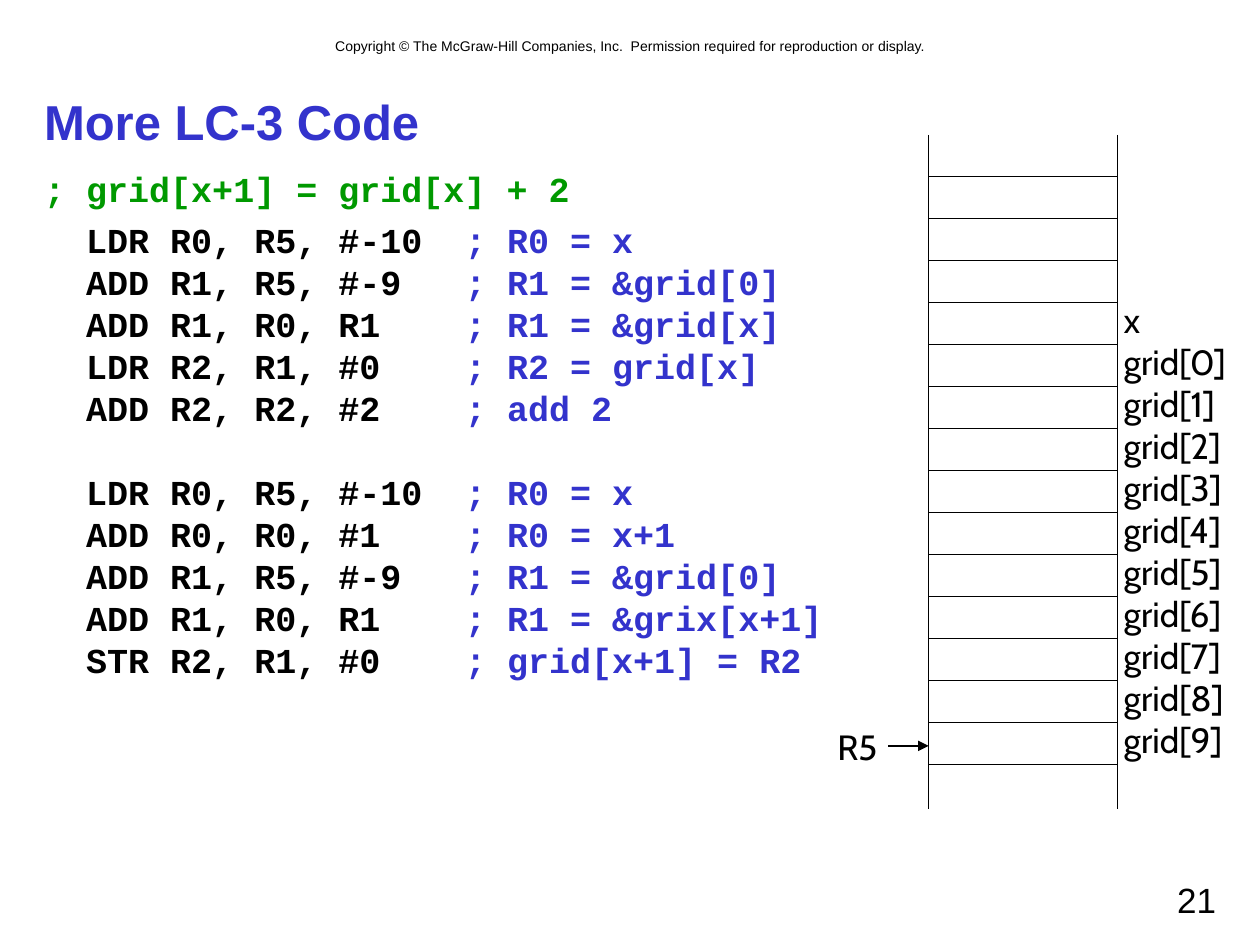
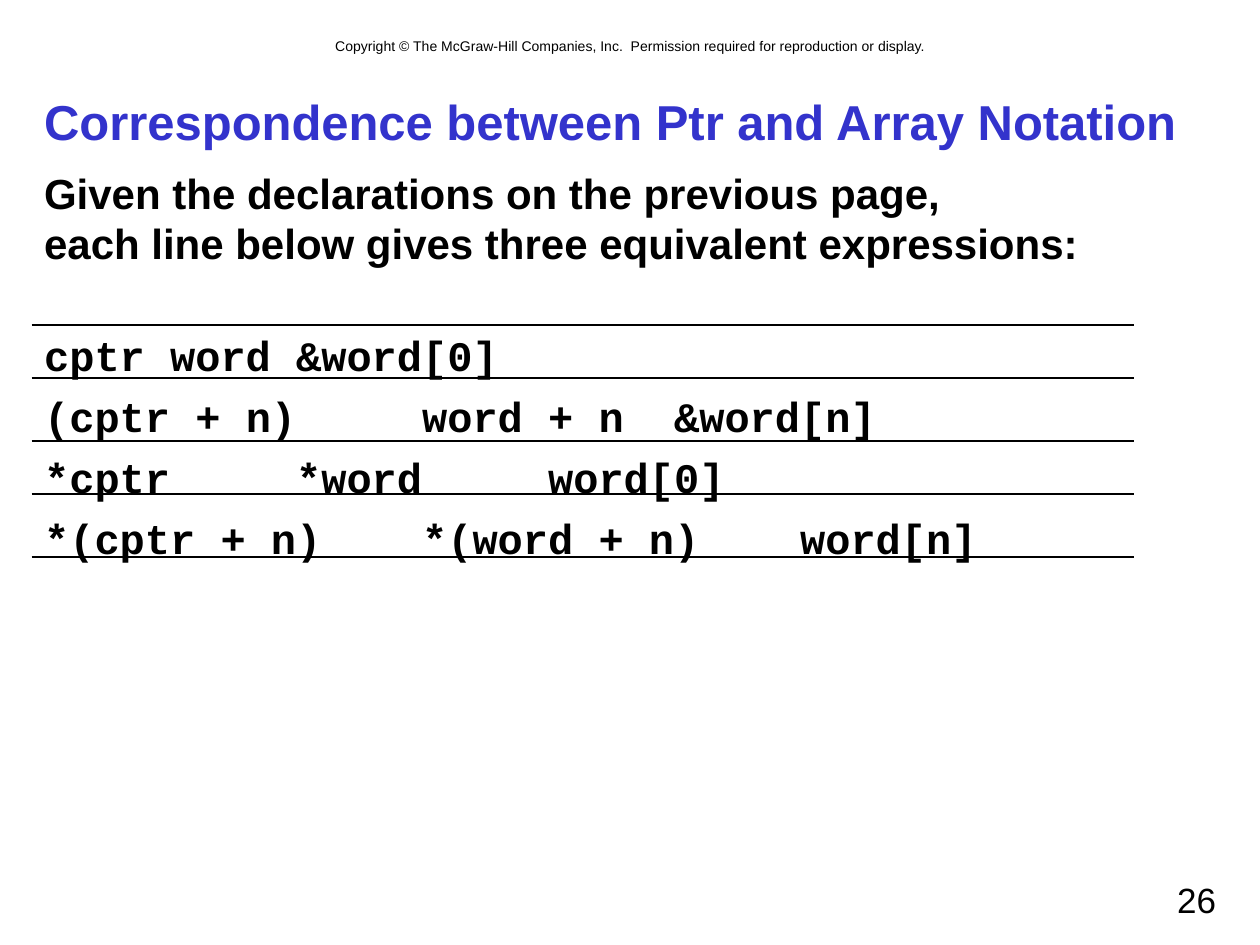
import pptx
import pptx.dml.color
import pptx.enum.shapes
import pptx.enum.text
import pptx.oxml.ns
import pptx.util
from lxml import etree

Inches = pptx.util.Inches
Pt = pptx.util.Pt
RGBColor = pptx.dml.color.RGBColor
ALIGN = pptx.enum.text.PP_ALIGN
ANCHOR = pptx.enum.text.MSO_ANCHOR
qn = pptx.oxml.ns.qn

# Shared style
BLACK = RGBColor(0x00, 0x00, 0x00)
BLUE = RGBColor(0x33, 0x33, 0xCC)
GREEN = RGBColor(0x00, 0x99, 0x00)
SANS, LABEL, CODE = "Arial", "Cabin", "Courier New"
COPYRIGHT = ("Copyright © The McGraw-Hill Companies, Inc.  "
             "Permission required for reproduction or display.")

# Boxes: left, top, width, height in inches
COPYRIGHT_BOX = (0.67, 0.25, 8.67, 0.24)
TITLE_BOX = (0.25, 0.67, 9.5, 0.58)
BODY_BOX = (0.25, 1.25, 9.5, 5.42)
NUMBER_BOX = (7.17, 6.92, 2.58, 0.42)
MEMORY_BOX = (7.37, 1.07, 1.5, 5.35)
RULES_BOX = (0.25, 2.58, 8.75, 1.84)

# Memory diagram
ROW_HEIGHT = 1 / 3
ROW_LINES = 15
FIRST_LABEL_ROW = 3
MEMORY_LABELS = ["x"] + [f"grid[{index}]" for index in range(10)]

# Code listing: blocks of instruction and comment
CODE_BLOCKS = [
    [("  LDR R0, R5, #-10  ", "; R0 = x"),
     ("  ADD R1, R5, #-9   ", "; R1 = &grid[0]"),
     ("  ADD R1, R0, R1    ", "; R1 = &grid[x]"),
     ("  LDR R2, R1, #0    ", "; R2 = grid[x]"),
     ("  ADD R2, R2, #2    ", "; add 2")],
    [("  LDR R0, R5, #-10  ", "; R0 = x"),
     ("  ADD R0, R0, #1    ", "; R0 = x+1"),
     ("  ADD R1, R5, #-9   ", "; R1 = &grid[0]"),
     ("  ADD R1, R0, R1    ", "; R1 = &grix[x+1]"),
     ("  STR R2, R1, #0    ", "; grid[x+1] = R2")],
]

EXPRESSIONS = [
    ("cptr", "word", "&word[0]"),
    ("(cptr + n)", "word + n", "&word[n]"),
    ("*cptr", "*word", "word[0]"),
    ("*(cptr + n)", "*(word + n)", "word[n]"),
]
RULE_OFFSETS = [0, 0.42, 0.92, 1.34, 1.84]


def place(shape, box):
    shape.left, shape.top, shape.width, shape.height = map(Inches, box)


def format_runs(paragraph, font, size, color, bold=False):
    for run in paragraph.runs:
        run.font.name = font
        run.font.size = Pt(size)
        run.font.color.rgb = color
        run.font.bold = bold


def add_text(slide, box, lines, font, size, align=ALIGN.LEFT, wrap=True):
    shape = slide.shapes.add_textbox(*map(Inches, box))
    shape.text_frame.word_wrap = wrap
    shape.text_frame.text = "\n".join(lines)
    for paragraph in shape.text_frame.paragraphs:
        paragraph.alignment = align
        format_runs(paragraph, font, size, BLACK)
    return shape


def add_line(slide, x1, y1, x2, y2, arrow=False):
    line = slide.shapes.add_connector(
        pptx.enum.shapes.MSO_CONNECTOR.STRAIGHT,
        Inches(x1), Inches(y1), Inches(x2), Inches(y2))
    line.line.color.rgb = BLACK
    line.line.width = Pt(0.75)
    if arrow:
        outline = line.element.spPr.find(qn("a:ln"))
        etree.SubElement(outline, qn("a:tailEnd"), type="triangle")
    etree.SubElement(line.element.spPr, qn("a:effectLst"))


def start_slide(presentation, title, number):
    """Add a slide with its title and number; return it with its body frame."""
    slide = presentation.slides.add_slide(presentation.slide_layouts[1])
    place(slide.shapes.title, TITLE_BOX)
    frame = slide.shapes.title.text_frame
    frame.text = title
    frame.vertical_anchor = ANCHOR.MIDDLE
    frame.paragraphs[0].alignment = ALIGN.LEFT
    format_runs(frame.paragraphs[0], SANS, 28, BLUE, bold=True)
    add_text(slide, NUMBER_BOX, [str(number)], SANS, 20, ALIGN.RIGHT)

    body = slide.placeholders[1]
    place(body, BODY_BOX)
    for text_frame in (frame, body.text_frame):
        text_frame.auto_size = pptx.enum.text.MSO_AUTO_SIZE.NONE
    body.text_frame.margin_top = Inches(0.08)
    return slide, body.text_frame


def style_body(paragraph, size, before):
    """Plain body line: no bullet, one-inch tabs, 120% leading."""
    properties = paragraph._p.get_or_add_pPr()
    for name, value in (("marL", 0), ("indent", 0), ("defTabSz", Inches(1))):
        properties.set(name, str(int(value)))
    etree.SubElement(properties, qn("a:buNone"))
    paragraph.line_spacing = Pt(1.2 * size)
    paragraph.space_before = Pt(before)


def add_copyright(presentation, slide):
    """Put the copyright line on the master, so every slide shows it."""
    shape = add_text(slide, COPYRIGHT_BOX, [COPYRIGHT], SANS, 8, ALIGN.CENTER)
    presentation.slide_master.shapes.element.append(shape.element)


def add_code(frame):
    heading = frame.paragraphs[0]
    heading.text = "; grid[x+1] = grid[x] + 2"
    style_body(heading, 20, 0)
    format_runs(heading, CODE, 20, GREEN, bold=True)
    for block, before in zip(CODE_BLOCKS, (5, 24)):
        paragraph = frame.add_paragraph()
        style_body(paragraph, 20, before)
        for row, (instruction, comment) in enumerate(block):
            if row:
                paragraph.add_line_break()
            paragraph.add_run().text = instruction
            paragraph.add_run().text = comment
        format_runs(paragraph, CODE, 20, BLACK, bold=True)
        for run in paragraph.runs[1::2]:
            run.font.color.rgb = BLUE


def add_memory(slide, box):
    left, top, width, height = box
    right = left + width
    for x in (left, right):
        add_line(slide, x, top, x, top + height)
    for row in range(1, ROW_LINES + 1):
        y = top + row * ROW_HEIGHT
        add_line(slide, left, y, right, y)
    label_box = (right - 0.05, top + 0.25 + FIRST_LABEL_ROW * ROW_HEIGHT,
                 1.07, 0.1 + len(MEMORY_LABELS) * ROW_HEIGHT)
    add_text(slide, label_box, MEMORY_LABELS, LABEL, 20, wrap=False)

    # Frame pointer
    pointer_y = top + 4.85
    add_text(slide, (left - 0.83, pointer_y - 0.21, 0.53, 0.44), ["R5"],
             LABEL, 20, ALIGN.CENTER, wrap=False)
    add_line(slide, left - 0.32, pointer_y, left, pointer_y, arrow=True)


def add_expressions(frame):
    intro = frame.paragraphs[0]
    intro.text = ("Given the declarations on the previous page,\v"
                  "each line below gives three equivalent expressions:")
    style_body(intro, 24, 0)
    format_runs(intro, SANS, 24, BLACK, bold=True)
    for row, expressions in enumerate(EXPRESSIONS):
        paragraph = frame.add_paragraph()
        paragraph.text = "\t".join(expressions)
        style_body(paragraph, 24, 6 if row else 34.8)
        format_runs(paragraph, CODE, 24, BLACK, bold=True)


def add_rules(slide, box):
    left, top, width, _ = box
    for offset in RULE_OFFSETS:
        add_line(slide, left, top + offset, left + width, top + offset)


def main():
    presentation = pptx.Presentation()
    presentation.slide_width = Inches(10)
    presentation.slide_height = Inches(7.5)

    slide, body = start_slide(presentation, "More LC-3 Code", 21)
    add_copyright(presentation, slide)
    add_code(body)
    add_memory(slide, MEMORY_BOX)

    slide, body = start_slide(
        presentation, "Correspondence between Ptr and Array Notation", 26)
    add_expressions(body)
    add_rules(slide, RULES_BOX)

    presentation.save("out.pptx")


if __name__ == "__main__":
    main()
